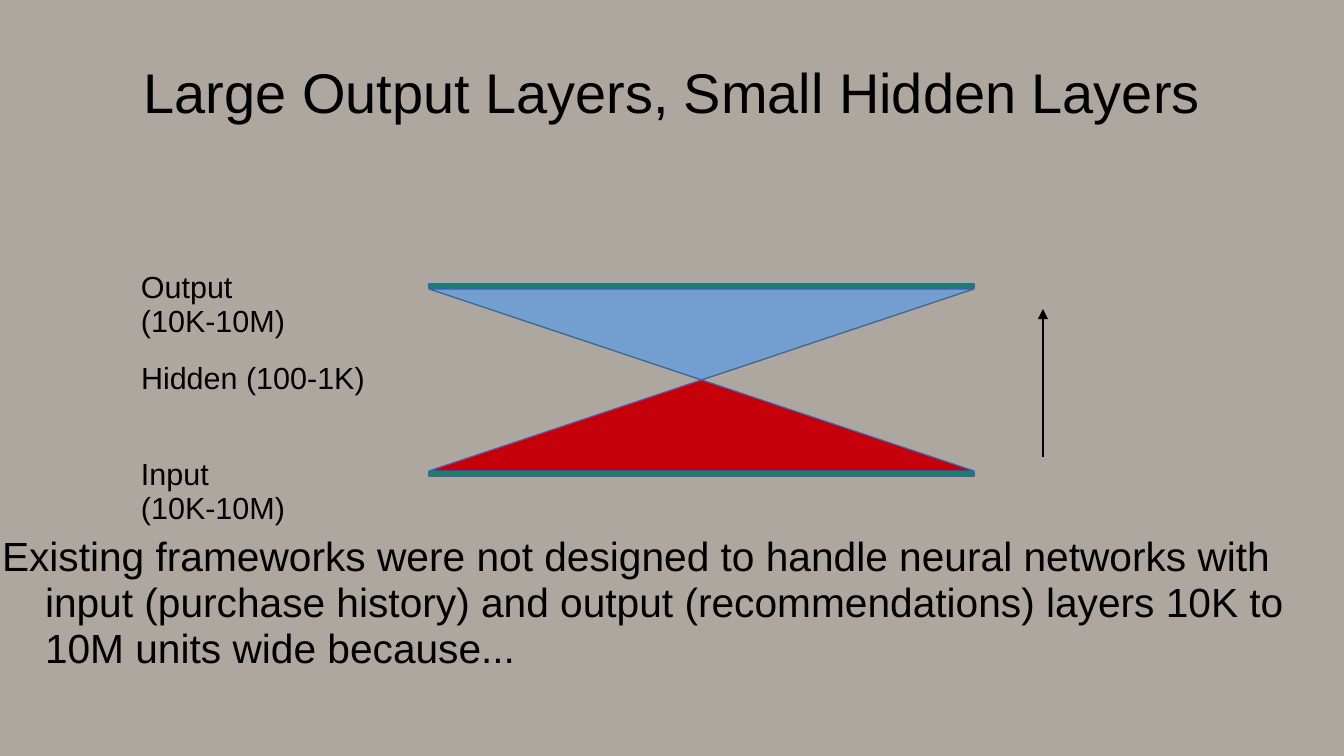
from lxml.etree import SubElement
from pptx import Presentation
from pptx.dml.color import RGBColor
from pptx.enum.shapes import MSO_CONNECTOR, MSO_SHAPE
from pptx.enum.text import MSO_ANCHOR, PP_ALIGN
from pptx.oxml.ns import qn
from pptx.util import Emu, Pt

COLORS = {
    "background": "AEA79F",
    "text": "000000",
    "layer": "009933",
    "outline": "3465A4",
    "input": "C5000B",
    "output": "729FCF",
}


def px(value):
    return Emu(value * 7495)


def color(name):
    return RGBColor.from_string(COLORS[name])


class Page:
    font = "Arial"
    line_spacing = 0.94
    line_width = Pt(0.75)

    def __init__(self, deck):
        self.slide = deck.slides.add_slide(deck.slide_layouts[6])
        fill = self.slide.background.fill
        fill.solid()
        fill.fore_color.rgb = color("background")

    def text(self, words, area, size, insets, align=PP_ALIGN.LEFT,
             anchor=MSO_ANCHOR.TOP, wrap=True, hanging=None):
        box = self.slide.shapes.add_textbox(*map(px, area))
        frame = box.text_frame
        frame.word_wrap = wrap
        frame.vertical_anchor = anchor
        (frame.margin_left, frame.margin_top,
         frame.margin_right, frame.margin_bottom) = map(px, insets)
        para = frame.paragraphs[0]
        para.text = words
        para.alignment = align
        para.line_spacing = self.line_spacing
        if hanging:
            margin, indent = hanging
            properties = para._p.get_or_add_pPr()
            properties.set("marL", str(px(margin)))
            properties.set("indent", str(px(indent)))
        para.font.name = self.font
        para.font.size = Pt(size)
        para.font.color.rgb = color("text")

    def shape(self, kind, area, fill, rotation=0):
        shape = self.slide.shapes.add_shape(kind, *map(px, area))
        shape.shadow.inherit = False
        shape.rotation = rotation
        shape.fill.solid()
        shape.fill.fore_color.rgb = color(fill)
        shape.line.color.rgb = color("outline")
        shape.line.width = self.line_width

    def arrow(self, start, end):
        arrow = self.slide.shapes.add_connector(
            MSO_CONNECTOR.STRAIGHT, *map(px, start + end))
        arrow.line.color.rgb = color("text")
        arrow.line.width = self.line_width
        SubElement(arrow.line._get_or_add_ln(), qn("a:tailEnd"), type="triangle")
        SubElement(arrow._element.spPr, qn("a:effectLst"))


def main():
    deck = Presentation()
    deck.slide_width, deck.slide_height = px(1344), px(756)
    page = Page(deck)

    # Title
    page.text("Large Output Layers, Small Hidden Layers", (67, 30, 1210, 126), 33,
              (0, 4, 0, 0), align=PP_ALIGN.CENTER, anchor=MSO_ANCHOR.MIDDLE)

    # Direction from input to output
    page.arrow((1043, 457), (1043, 309))

    # Wide layers
    left, width = 429, 545
    for top in (284, 472):
        page.shape(MSO_SHAPE.RECTANGLE, (left, top, width, 4), "layer")

    # Layer labels
    for words, top, label_width in (("Output (10K-10M)", 264, 268),
                                    ("Hidden (100-1K)", 355, 248),
                                    ("Input (10K-10M)", 451, 244)):
        page.text(words, (129, top, label_width, 46), 18, (12, 7, 12, 6), wrap=False)

    # Weights narrowing to the hidden layer
    middle, height = 380, 91
    page.shape(MSO_SHAPE.ISOSCELES_TRIANGLE, (left, middle, width, height), "input")
    page.shape(MSO_SHAPE.ISOSCELES_TRIANGLE, (left, middle - height, width, height),
               "output", rotation=180)

    # Statement
    page.text("Existing frameworks were not designed to handle neural networks with "
              "input (purchase history) and output (recommendations) layers "
              "10K to 10M units wide because...",
              (-12, 533, 1349, 149), 24, (0, 2, 0, 0), hanging=(57, -43))

    deck.save("out.pptx")


if __name__ == "__main__":
    main()
